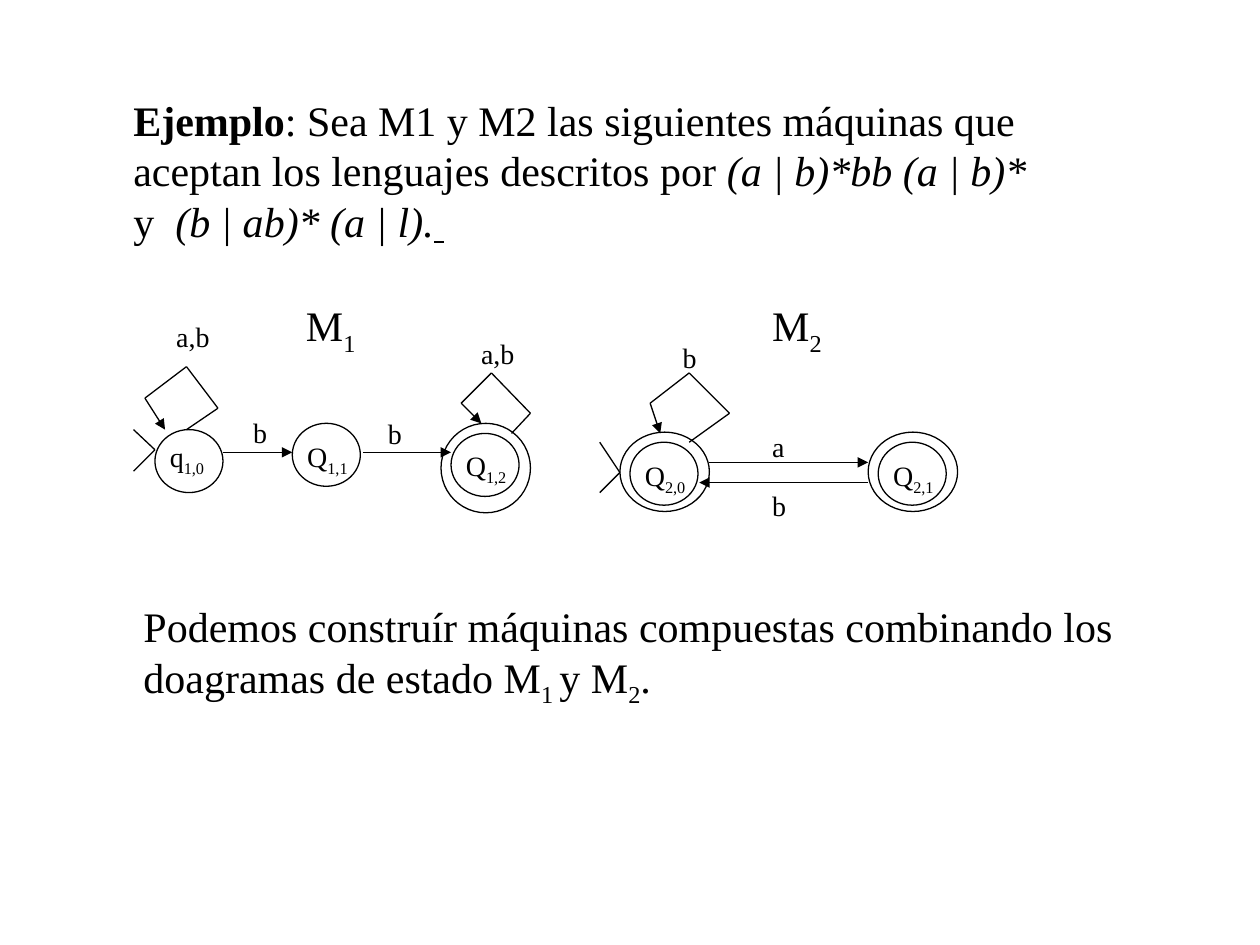
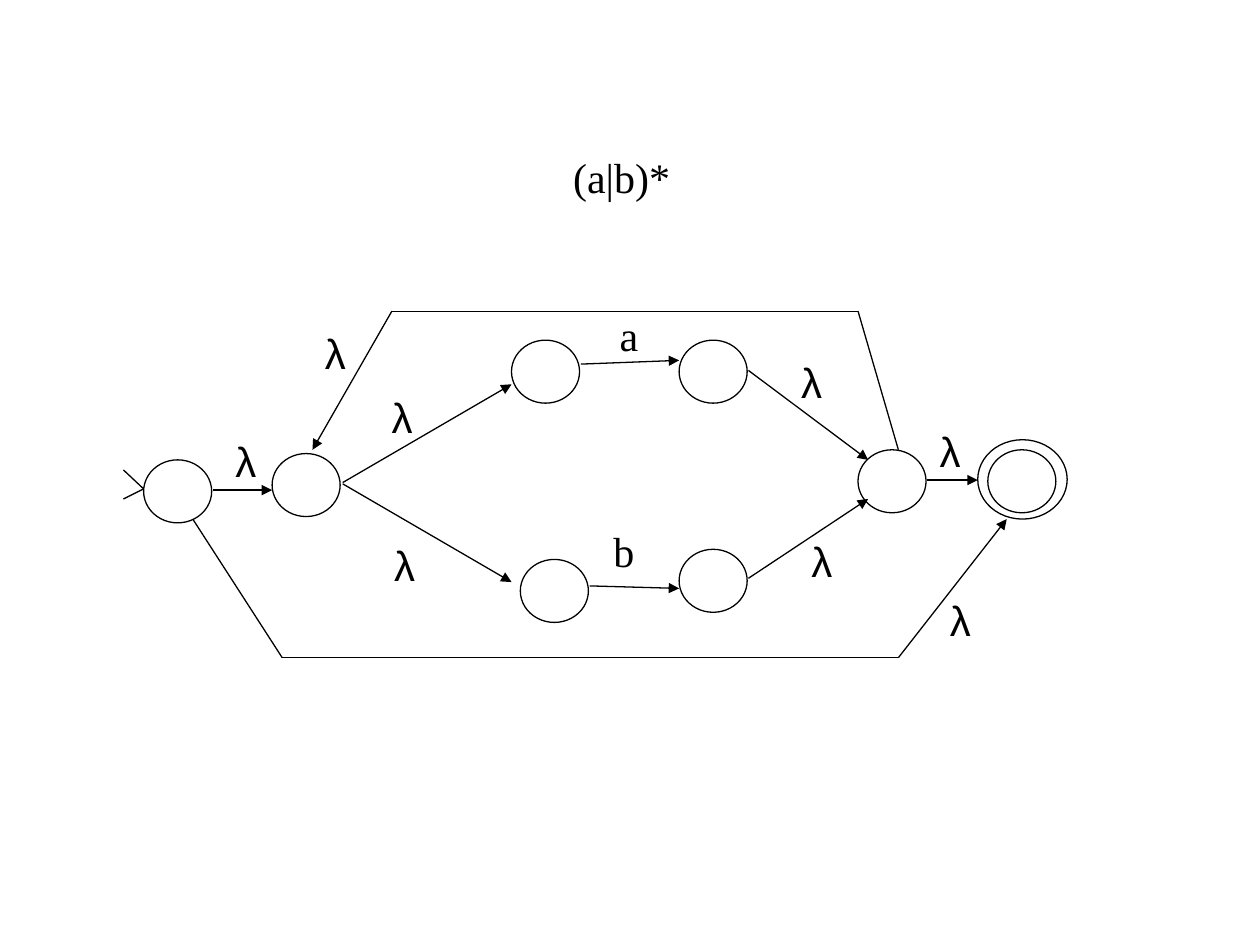
from dataclasses import dataclass
from itertools import pairwise
from typing import Any

from lxml.etree import SubElement
from pptx import Presentation
from pptx.dml.color import RGBColor
from pptx.enum.shapes import MSO_CONNECTOR as Connector
from pptx.enum.shapes import MSO_SHAPE as Shape
from pptx.enum.text import MSO_AUTO_SIZE as AutoSize
from pptx.oxml.ns import qn
from pptx.util import Inches, Pt

BLACK = RGBColor(0x00, 0x00, 0x00)
SERIF = "Times New Roman"
SANS = "Arial"
LINE_WIDTH = Pt(0.75)
BODY_SIZE = 24
SMALL_SIZE = 16
STATE_WIDTH, STATE_HEIGHT = 0.54, 0.5
RING_WIDTH, RING_HEIGHT, RING_GAP = 0.71, 0.63, 0.08

SUB = {"subscript": True}
ITALIC = {"italic": True}


def add_text(shapes, box, *paragraphs, font=SERIF, size=BODY_SIZE, wrap=False):
    """Each paragraph is a string or a list of (text, style) runs."""
    text_box = shapes.add_textbox(*map(Inches, box))
    frame = text_box.text_frame
    frame.word_wrap = wrap
    frame.auto_size = AutoSize.SHAPE_TO_FIT_TEXT
    for index, runs in enumerate(paragraphs):
        paragraph = frame.add_paragraph() if index else frame.paragraphs[0]
        if isinstance(runs, str):
            runs = [(runs, {})]
        for text, style in runs:
            run = paragraph.add_run()
            run.text = text
            run.font.name = font
            run.font.size = Pt(size)
            run.font.color.rgb = BLACK
            run.font.bold = style.get("bold", False)
            run.font.italic = style.get("italic", False)
            run.font.underline = style.get("underline", False)
            if style.get("subscript"):
                run._r.get_or_add_rPr().set("baseline", "-25000")


@dataclass
class Diagram:
    """A state diagram whose parts are placed from its left top corner."""
    shapes: Any
    left: float
    top: float

    def ellipse(self, x, y, width, height):
        oval = self.shapes.add_shape(
            Shape.OVAL, Inches(self.left + x), Inches(self.top + y),
            Inches(width), Inches(height))
        oval.shadow.inherit = False
        oval.fill.background()
        oval.line.color.rgb = BLACK
        oval.line.width = LINE_WIDTH

    def state(self, x, y, name=None, name_drop=0.08,
              final=False, ring_height=RING_HEIGHT):
        """Circle with an optional (letter, index) name; a final state has a ring."""
        self.ellipse(x, y, STATE_WIDTH, STATE_HEIGHT)
        if final:
            self.ellipse(x - RING_GAP, y - RING_GAP, RING_WIDTH, ring_height)
        if name:
            letter, index = name
            self.label([(letter, {}), (index, SUB)], x + 0.02, y + name_drop,
                       width=0.54, height=0.41)

    def label(self, text, x, y, width=0.31, height=0.37,
              size=SMALL_SIZE, font=SERIF):
        add_text(self.shapes, (self.left + x, self.top + y, width, height),
                 text, size=size, font=font)

    def title(self, letter, index):
        self.label([(letter, {}), (index, SUB)], 1.27, 0,
                   width=0.59, height=0.56, size=BODY_SIZE)

    def route(self, *points, arrow=True):
        """Join the points with lines; the last line may end in an arrowhead."""
        for start, end in pairwise(points):
            ends = [Inches(origin + offset) for point in (start, end)
                    for origin, offset in zip((self.left, self.top), point)]
            line = self.shapes.add_connector(Connector.STRAIGHT, *ends)
            line.line.color.rgb = BLACK
            line.line.width = LINE_WIDTH
            properties = line._element.spPr
            SubElement(properties, qn("a:effectLst"))
        if arrow:
            SubElement(properties.find(qn("a:ln")), qn("a:tailEnd"), type="triangle")


def new_diagram(slide, left, top):
    return Diagram(slide.shapes.add_group_shape().shapes, left, top)


def draw_machine_1(slide, left, top):
    machine = new_diagram(slide, left, top)
    machine.title("M", "1")
    machine.state(0.17, 1.08, ("q", "1,0"), name_drop=0.03)
    machine.state(1.26, 1.03, ("Q", "1,1"))
    machine.state(2.52, 1.11, ("Q", "1,2"), name_drop=0.07,
                  final=True, ring_height=RING_WIDTH)
    machine.route((0, 1.08), (0.17, 1.24), (0, 1.41), arrow=False)
    machine.route((0.71, 1.26), (1.26, 1.26))
    machine.route((1.82, 1.26), (2.52, 1.26))
    machine.route((0.42, 1.08), (0.67, 0.91), (0.42, 0.58), (0.09, 0.83), (0.25, 1.08))
    machine.route((3.0, 1.11), (3.15, 0.95), (2.84, 0.63), (2.6, 0.87), (2.76, 1.03))
    for x, y in [(0.24, 0.16), (2.66, 0.29)]:
        machine.label("a,b", x, y, width=0.52)
    for x, y in [(0.85, 0.92), (1.92, 0.93)]:
        machine.label("b", x, y)


def draw_machine_2(slide, left, top):
    machine = new_diagram(slide, left, top)
    machine.title("M", "2")
    machine.state(0.24, 1.18, ("Q", "2,0"), final=True)
    machine.state(2.21, 1.18, ("Q", "2,1"), final=True)
    machine.route((0, 1.58), (0.16, 1.42), (0, 1.18), arrow=False)
    machine.route((0.87, 1.34), (2.13, 1.34))
    machine.route((2.13, 1.5), (0.79, 1.5))
    machine.route((0.71, 1.18), (1.03, 0.95), (0.71, 0.63), (0.4, 0.87), (0.48, 1.11))
    machine.label("b", 0.56, 0.32)
    machine.label("a", 1.27, 1.03)
    machine.label("b", 1.27, 1.5)


def draw_star_machine(slide, left, top):
    machine = new_diagram(slide, left, top)
    for x, y in [(0.16, 1.24), (1.18, 1.19), (3.08, 0.29), (4.41, 0.29),
                 (3.15, 2.03), (4.41, 1.95), (5.83, 1.16)]:
        machine.state(x, y)
    machine.state(6.86, 1.16, final=True)

    machine.route((0, 1.55), (0.16, 1.47), (0, 1.32), arrow=False)
    for start, end in [
        ((0.71, 1.48), (1.18, 1.48)),
        ((1.74, 1.42), (3.08, 0.64)),
        ((1.74, 1.43), (3.08, 2.21)),
        ((3.63, 0.48), (4.41, 0.45)),
        ((3.7, 2.24), (4.41, 2.26)),
        ((4.96, 0.53), (5.91, 1.24)),
        ((4.96, 2.18), (5.91, 1.55)),
        ((6.38, 1.4), (6.78, 1.4)),
    ]:
        machine.route(start, end)
    machine.route((6.15, 1.16), (5.83, 0.06), (2.13, 0.06), (1.5, 1.16))
    machine.route((0.55, 1.71), (1.26, 2.81), (6.15, 2.81), (7.01, 1.71))

    large = {"height": 0.5, "size": BODY_SIZE}
    for x, y in [(0.79, 1.0), (1.5, 0.14), (2.03, 0.65), (2.05, 1.82),
                 (5.28, 0.37), (5.36, 1.79), (6.38, 0.92), (6.46, 2.26)]:
        machine.label("λ", x, y, width=0.38, font=SANS, **large)
    machine.label("a", 3.84, 0, width=0.35, **large)
    machine.label("b", 3.79, 1.71, width=0.36, **large)


def build_example_slide(slide):
    add_text(
        slide.shapes, (0.96, 0.7, 8.13, 1.7),
        [("Ejemplo", {"bold": True}),
         (": Sea M1 y M2 las siguientes máquinas que aceptan los lenguajes "
          "descritos por ", {}),
         ("(a | b)*bb (a | b)*", ITALIC)],
        [("y  ", {}),
         ("(b | ab)* (a | l).", ITALIC),
         (" ", {"bold": True, "italic": True, "underline": True})],
        wrap=True)
    draw_machine_1(slide, 1.06, 2.33)
    draw_machine_2(slide, 4.76, 2.33)
    add_text(
        slide.shapes, (1.04, 4.72, 8.45, 0.96),
        [("Podemos construír máquinas compuestas combinando los doagramas "
          "de estado M", {}),
         ("1 ", SUB), ("y M", {}), ("2", SUB), (".", {})],
        wrap=True)


def build_star_slide(slide):
    add_text(slide.shapes, (4.45, 1.15, 0.97, 0.5), "(a|b)*")
    draw_star_machine(slide, 0.98, 2.41)


def main():
    presentation = Presentation()
    presentation.slide_width = Inches(10)
    presentation.slide_height = Inches(7.5)
    blank = presentation.slide_layouts[6]
    for build_slide in (build_example_slide, build_star_slide):
        build_slide(presentation.slides.add_slide(blank))
    presentation.save("out.pptx")


if __name__ == "__main__":
    main()
